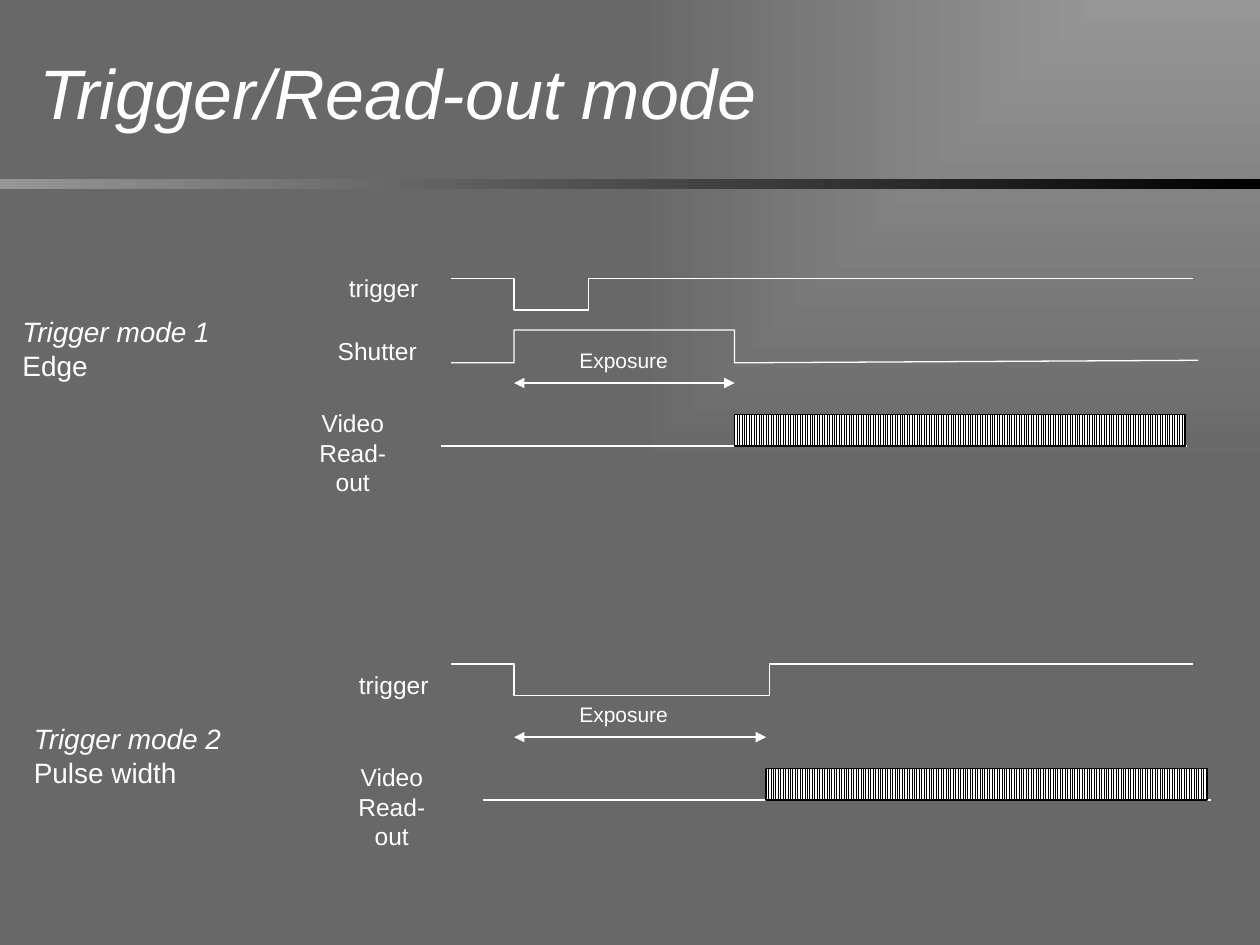
from lxml import etree
from pptx import Presentation
from pptx import util as u
from pptx.dml import color
from pptx.enum import dml, shapes, text
from pptx.oxml import ns

COLORS = {"white": "FFFFFF", "black": "000000", "light": "969696", "dark": "686868"}
FONT = "Arial"
PULSE_HEIGHT = 0.25


def rgb(name):
    return color.RGBColor.from_string(COLORS[name])


def inches(*lengths):
    return [u.Inches(length) for length in lengths]


def set_gradient(fill, start, end):
    fill.gradient()
    for stop, name in zip(fill.gradient_stops, (start, end)):
        stop.color.rgb = rgb(name)
    fill.gradient_angle = 0


def set_line(shape, name="white"):
    shape.line.color.rgb = rgb(name)
    shape.line.width = u.Pt(0.75)


def format_paragraph(paragraph, size, italic=False, align=text.PP_ALIGN.LEFT):
    paragraph.alignment = align
    for run in paragraph.runs:
        run.font.name = FONT
        run.font.size = u.Pt(size)
        run.font.italic = italic
        run.font.color.rgb = rgb("white")


def add_background(slide):
    set_gradient(slide.background.fill, "light", "dark")
    linear = next(slide.element.iter(ns.qn("a:lin")))
    corner = etree.Element(ns.qn("a:path"), {"path": "rect"})
    etree.SubElement(corner, ns.qn("a:fillToRect"), {"l": "100000", "b": "100000"})
    linear.getparent().replace(linear, corner)


def add_header(slide, left, top, width, height):
    bar = slide.shapes.add_shape(
        shapes.MSO_SHAPE.RECTANGLE, *inches(left, top + height - 0.08, width, 0.08))
    bar.shadow.inherit = False
    set_gradient(bar.fill, "light", "black")
    bar.line.fill.background()
    title = slide.shapes.title
    title.left, title.top, title.width, title.height = inches(left + 0.21, top + 0.1, 7.75, 1.25)
    title.text_frame.text = "Trigger/Read-out mode"
    title.text_frame.vertical_anchor = text.MSO_ANCHOR.MIDDLE
    format_paragraph(title.text_frame.paragraphs[0], 40, italic=True)


def add_text(slide, box, content):
    frame = slide.shapes.add_textbox(*inches(*box)).text_frame
    frame.word_wrap = False
    frame.text = content
    return frame


def add_label(slide, box, content, size=14):
    frame = add_text(slide, box, content)
    frame.margin_left = frame.margin_right = u.Inches(0.05)
    for paragraph in frame.paragraphs:
        format_paragraph(paragraph, size, align=text.PP_ALIGN.CENTER)
    return frame


def add_mode_name(slide, left, top, mode, method):
    frame = add_text(slide, (left, top, 1.71, 0.64), f"{mode}\n{method}")
    for paragraph, italic in zip(frame.paragraphs, (True, False)):
        format_paragraph(paragraph, 16, italic)


def add_pulse(slide, start, rise, fall, end, base, level, end_level=None):
    last = base if end_level is None else end_level
    corners = [(start, base), (rise, base), (rise, level), (fall, level), (fall, base), (end, last)]
    points = [inches(*corner) for corner in corners]
    builder = slide.shapes.build_freeform(*points[0])
    builder.add_line_segments(points[1:], close=False)
    signal = builder.convert_to_shape()
    signal.shadow.inherit = False
    signal.fill.background()
    set_line(signal)


def add_line(slide, start, end, y, arrows=False):
    line = slide.shapes.add_connector(
        shapes.MSO_CONNECTOR.STRAIGHT, *inches(start, y, end, y))
    set_line(line)
    if arrows:
        outline = line.line._get_or_add_ln()
        for tag in ("a:headEnd", "a:tailEnd"):
            etree.SubElement(outline, ns.qn(tag), {"type": "triangle"})
    etree.SubElement(line.element.spPr, ns.qn("a:effectLst"))


def add_exposure(slide, start, end, y):
    add_line(slide, start, end, y, arrows=True)
    add_label(slide, (4.5, y - 0.33, 0.9, 0.3), "Exposure", 12)


def add_readout(slide, label_left, line_start, line_end, burst_start, burst_width, base):
    add_line(slide, line_start, line_end, base)
    burst = slide.shapes.add_shape(
        shapes.MSO_SHAPE.RECTANGLE,
        *inches(burst_start, base - PULSE_HEIGHT, burst_width, PULSE_HEIGHT))
    burst.shadow.inherit = False
    burst.fill.patterned()
    burst.fill.pattern = dml.MSO_PATTERN.LIGHT_VERTICAL
    burst.fill.fore_color.rgb = rgb("black")
    burst.fill.back_color.rgb = rgb("white")
    set_line(burst, "black")
    frame = add_label(slide, (label_left, base - 0.35, 1, 0.57), "Video\nRead-out")
    frame.word_wrap = True
    frame.margin_left, frame.margin_right = inches(0.09, 0.37)


def add_edge_mode(slide, left, top):
    rise, exposure_end = left + 4, left + 5.75
    add_mode_name(slide, left, top + 0.33, "Trigger mode 1", "Edge")
    add_label(slide, (left + 2.59, top, 0.75, 0.33), "trigger")
    add_pulse(slide, left + 3.5, rise, left + 4.59, left + 9.39, top + 0.09, top + 0.34)
    add_label(slide, (left + 2.5, top + 0.5, 0.83, 0.33), "Shutter")
    add_pulse(slide, left + 3.5, rise, exposure_end, left + 9.43,
              top + 0.76, top + 0.5, end_level=top + 0.74)
    add_exposure(slide, rise, exposure_end, top + 0.92)
    add_readout(slide, left + 2.36, left + 3.42, left + 9.34, exposure_end, 3.58, top + 1.42)


def add_pulse_width_mode(slide, left, top):
    rise, exposure_end = left + 3.91, left + 5.91
    add_mode_name(slide, left, top + 0.41, "Trigger mode 2", "Pulse width")
    add_label(slide, (left + 2.58, top, 0.75, 0.33), "trigger")
    add_pulse(slide, left + 3.41, rise, left + 5.94, left + 9.3, top, top + PULSE_HEIGHT)
    add_exposure(slide, rise, exposure_end, top + 0.58)
    add_readout(slide, left + 2.58, left + 3.66, left + 9.44, exposure_end, 3.5, top + 1.08)


def main():
    presentation = Presentation()
    presentation.slide_width, presentation.slide_height = inches(10, 7.5)
    slide = presentation.slides.add_slide(presentation.slide_layouts[5])
    add_background(slide)
    add_header(slide, 0, 0, 10, 1.5)
    add_edge_mode(slide, 0.08, 2.12)
    add_pulse_width_mode(slide, 0.17, 5.27)
    presentation.save("out.pptx")


if __name__ == "__main__":
    main()
